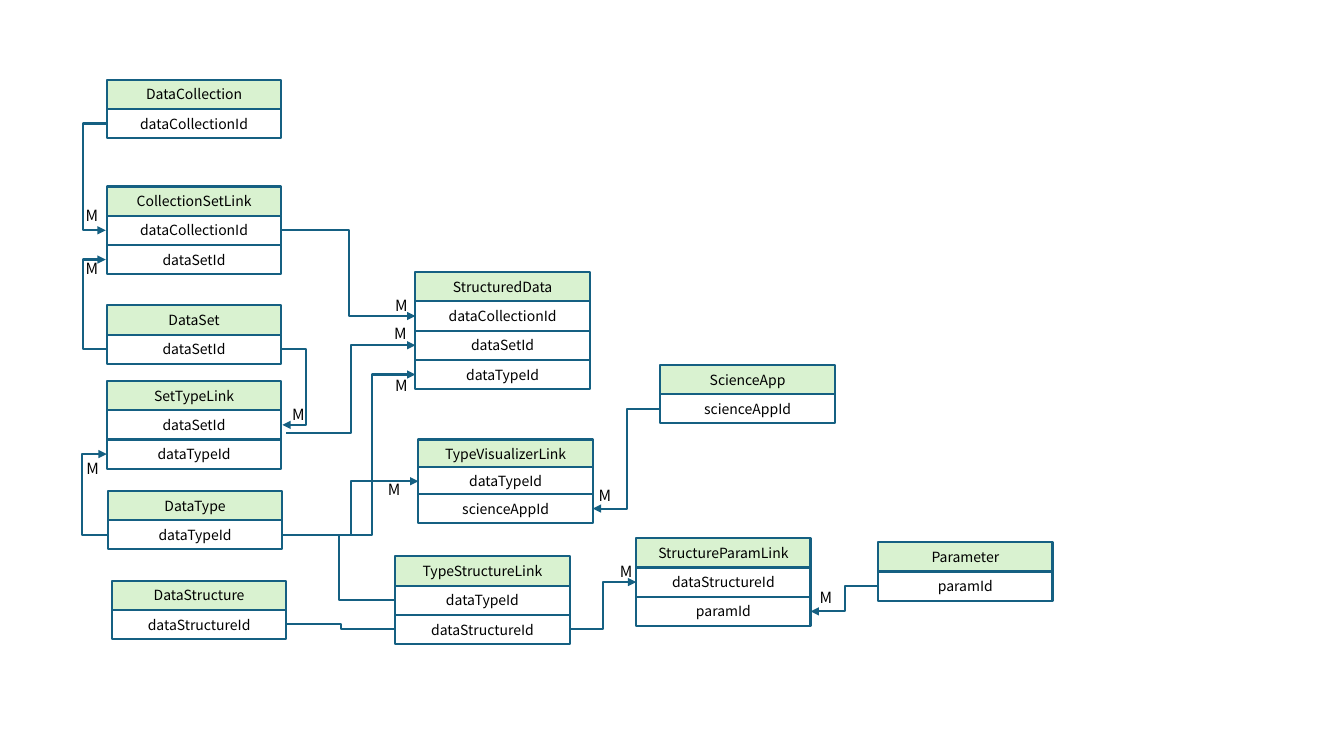
from dataclasses import dataclass

import pptx
import pptx.dml.color
import pptx.enum.shapes
import pptx.enum.text
import pptx.oxml
import pptx.oxml.ns
import pptx.util

Inches = pptx.util.Inches
LEFT, RIGHT = 1, 3  # connection sites of a rectangle

BOX_WIDTH, ROW_HEIGHT = 1.73, 0.29
LABEL_WIDTH, LABEL_HEIGHT = 0.34, 0.29

# name: (left, top, row pitch, fields)
ENTITIES = {
    "DataCollection": (1.06, 0.79, 0.29, ["dataCollectionId"]),
    "CollectionSetLink": (1.06, 1.85, 0.29, ["dataCollectionId", "dataSetId"]),
    "DataSet": (1.06, 3.03, 0.29, ["dataSetId"]),
    "SetTypeLink": (1.06, 3.78, 0.29, ["dataSetId", "dataTypeId"]),
    "DataType": (1.07, 4.87, 0.29, ["dataTypeId"]),
    "DataStructure": (1.11, 5.76, 0.29, ["dataStructureId"]),
    "TypeStructureLink": (3.92, 5.52, 0.29, ["dataTypeId", "dataStructureId"]),
    "StructuredData": (4.12, 2.70, 0.29, ["dataCollectionId", "dataSetId", "dataTypeId"]),
    "TypeVisualizerLink": (4.15, 4.36, 0.27, ["dataTypeId", "scienceAppId"]),
    "ScienceApp": (6.55, 3.62, 0.29, ["scienceAppId"]),
    "StructureParamLink": (6.31, 5.34, 0.29, ["dataStructureId", "paramId"]),
    "Parameter": (8.71, 5.38, 0.29, ["paramId"]),
}

# (source entity or free point, source side, target entity, target side, field,
#  x of the bend, offset of the "M" label from the arrow tip or None for a plain line)
LINKS = [
    ("DataCollection", LEFT, "CollectionSetLink", LEFT, "dataCollectionId", 0.82, (-0.30, -0.29)),
    ("DataSet", LEFT, "CollectionSetLink", LEFT, "dataSetId", 0.82, (-0.30, -0.05)),
    ("DataSet", RIGHT, "SetTypeLink", RIGHT, "dataSetId", 3.04, (0, -0.25)),
    ("DataType", LEFT, "SetTypeLink", LEFT, "dataTypeId", 0.81, (-0.30, 0)),
    ("DataType", RIGHT, "TypeStructureLink", LEFT, "dataTypeId", 3.36, None),
    ("TypeStructureLink", LEFT, "DataStructure", RIGHT, "dataStructureId", 3.38, None),
    ("DataType", RIGHT, "StructuredData", LEFT, "dataTypeId", 3.69, (-0.30, -0.03)),
    ((2.84, 4.30), RIGHT, "StructuredData", LEFT, "dataSetId", 3.48, (-0.31, -0.26)),
    ("CollectionSetLink", RIGHT, "StructuredData", LEFT, "dataCollectionId", 3.46, (-0.30, -0.25)),
    ("DataType", RIGHT, "TypeVisualizerLink", LEFT, "dataTypeId", 3.48, (-0.40, -0.06)),
    ("ScienceApp", LEFT, "TypeVisualizerLink", RIGHT, "scienceAppId", 6.22, (-0.04, -0.27)),
    ("TypeStructureLink", RIGHT, "StructureParamLink", LEFT, "dataStructureId", 5.98, (-0.26, -0.25)),
    ("Parameter", LEFT, "StructureParamLink", RIGHT, "paramId", 8.38, (-0.01, -0.28)),
]


@dataclass(frozen=True)
class Theme:
    font: str = "Noto Sans CJK KR"
    header: str = "D9F2D0"
    field: str = "FFFFFF"
    line: str = "156082"
    text: str = "000000"
    box_size: int = 10
    label_size: int = 11
    line_width: float = 1.5


THEME = Theme()


def rgb(value):
    return pptx.dml.color.RGBColor.from_string(value)


def add_run(paragraph, text, size):
    run = paragraph.add_run()
    run.text = text
    run.font.name = THEME.font
    run.font.size = pptx.util.Pt(size)
    run.font.color.rgb = rgb(THEME.text)


def style_line(shape):
    shape.line.color.rgb = rgb(THEME.line)
    shape.line.width = pptx.util.Pt(THEME.line_width)


def add_box(slide, left, top, text, fill):
    shape = slide.shapes.add_shape(
        pptx.enum.shapes.MSO_SHAPE.RECTANGLE,
        Inches(left), Inches(top), Inches(BOX_WIDTH), Inches(ROW_HEIGHT))
    shape.shadow.inherit = False
    shape.fill.solid()
    shape.fill.fore_color.rgb = rgb(fill)
    style_line(shape)
    shape.text_frame.vertical_anchor = pptx.enum.text.MSO_ANCHOR.MIDDLE
    paragraph = shape.text_frame.paragraphs[0]
    paragraph.alignment = pptx.enum.text.PP_ALIGN.CENTER
    add_run(paragraph, text, THEME.box_size)
    return shape


def add_entity(slide, name, left, top, pitch, fields):
    """Draw the header and its rows; return the row shapes by field name."""
    add_box(slide, left, top, name, THEME.header)
    return {field: add_box(slide, left, top + pitch * row, field, THEME.field)
            for row, field in enumerate(fields, start=1)}


def append_xml(parent, tag, attributes=""):
    namespace = pptx.oxml.ns.nsdecls("a")
    parent.append(pptx.oxml.parse_xml(f"<a:{tag} {namespace} {attributes}/>"))


def add_link(slide, source, source_side, target, target_side, bend, arrow):
    """Draw an elbow whose middle segment stands at x = bend."""
    is_point = isinstance(source, tuple)
    start = [Inches(value) for value in source] if is_point else (source.left, source.top)
    connector = slide.shapes.add_connector(
        pptx.enum.shapes.MSO_CONNECTOR.ELBOW, *start, target.left, target.top)
    if not is_point:
        connector.begin_connect(source, source_side)
    connector.end_connect(target, target_side)
    if connector.begin_x == connector.end_x:
        # The bend is a share of the width, so the width must not be zero.
        connector.end_x += Inches(0.01) * (1 if target_side == RIGHT else -1)
    style_line(connector)

    share = (Inches(bend) - connector.begin_x) / (connector.end_x - connector.begin_x)
    properties = connector._element.spPr
    adjustments = properties.find(".//" + pptx.oxml.ns.qn("a:avLst"))
    append_xml(adjustments, "gd", f'name="adj1" fmla="val {round(share * 100000)}"')
    if arrow:
        append_xml(properties.find(pptx.oxml.ns.qn("a:ln")), "tailEnd", 'type="triangle"')
    append_xml(properties, "effectLst")
    return connector


def add_label(slide, left, top):
    label = slide.shapes.add_textbox(left, top, Inches(LABEL_WIDTH), Inches(LABEL_HEIGHT))
    label.text_frame.word_wrap = False
    label.text_frame.auto_size = pptx.enum.text.MSO_AUTO_SIZE.SHAPE_TO_FIT_TEXT
    add_run(label.text_frame.paragraphs[0], "M", THEME.label_size)


def main():
    presentation = pptx.Presentation()
    presentation.slide_width = Inches(13.33)
    presentation.slide_height = Inches(7.5)
    slide = presentation.slides.add_slide(presentation.slide_layouts.get_by_name("Blank"))

    rows = {name: add_entity(slide, name, *entity) for name, entity in ENTITIES.items()}
    for source, source_side, target, target_side, field, bend, offset in LINKS:
        begin = source if isinstance(source, tuple) else rows[source][field]
        connector = add_link(slide, begin, source_side, rows[target][field],
                             target_side, bend, arrow=offset is not None)
        if offset:
            add_label(slide, connector.end_x + Inches(offset[0]),
                      connector.end_y + Inches(offset[1]))
    presentation.save("out.pptx")


if __name__ == "__main__":
    main()
